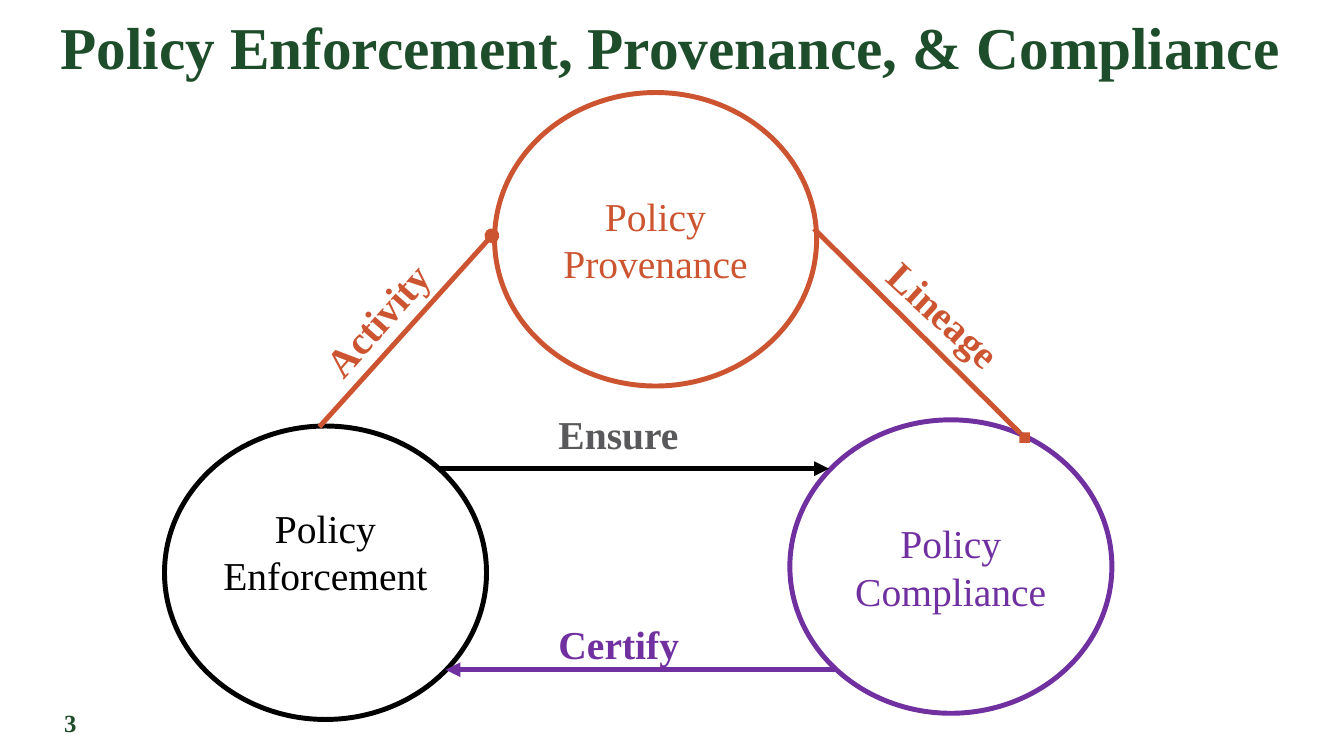
from lxml import etree
from pptx import Presentation
from pptx.dml.color import RGBColor
from pptx.enum.shapes import MSO_CONNECTOR, MSO_SHAPE
from pptx.enum.text import MSO_ANCHOR, MSO_AUTO_SIZE, PP_ALIGN
from pptx.oxml.ns import qn
from pptx.util import Inches, Pt

ELLIPSE = MSO_SHAPE.OVAL
STRAIGHT = MSO_CONNECTOR.STRAIGHT
MIDDLE = MSO_ANCHOR.MIDDLE
NO_FIT = MSO_AUTO_SIZE.NONE
LEFT, CENTER = PP_ALIGN.LEFT, PP_ALIGN.CENTER

BLACK = RGBColor(0x00, 0x00, 0x00)
GRAY = RGBColor(0x59, 0x59, 0x5B)
GREEN = RGBColor(0x1E, 0x4D, 0x2B)
ORANGE = RGBColor(0xCC, 0x54, 0x30)
PURPLE = RGBColor(0x70, 0x30, 0xA0)

FONT = "Times New Roman"
WIDTH, HEIGHT = Inches(15.11), Inches(8.5)
LINE_WIDTH = Pt(4)
TITLE_ONLY = 5

# Sizes in percent of the slide
CIRCLE_W, CIRCLE_H = 23.96, 38.82
LABEL_H = 7.53


def across(percent):
    return round(WIDTH * percent / 100)


def down(percent):
    return round(HEIGHT * percent / 100)


def box(left, top, width, height):
    return across(left), down(top), across(width), down(height)


def write(paragraph, text, color, size=32, bold=False, align=LEFT):
    paragraph.alignment = align
    run = paragraph.add_run()
    run.text = text
    run.font.name = FONT
    run.font.size = Pt(size)
    run.font.bold = bold
    run.font.color.rgb = color


def add_title(slide, text):
    title = slide.shapes.title
    title.left, title.top, title.width, title.height = box(0.26, 0.12, 99.27, 11.76)
    frame = title.text_frame
    frame.vertical_anchor = MIDDLE
    frame.auto_size = NO_FIT
    write(frame.paragraphs[0], text, GREEN, 48, True, CENTER)


def add_policy(slide, left, top, name, color, raise_by=0):
    circle = slide.shapes.add_shape(ELLIPSE, *box(left, top, CIRCLE_W, CIRCLE_H))
    circle.shadow.inherit = False
    circle.fill.background()
    circle.line.color.rgb = color
    circle.line.width = LINE_WIDTH
    frame = circle.text_frame
    frame.vertical_anchor = MIDDLE
    frame.margin_bottom += down(2 * raise_by)
    write(frame.paragraphs[0], "Policy", color, align=CENTER)
    write(frame.add_paragraph(), name, color, align=CENTER)


def add_link(slide, start, end, color, marker):
    link = slide.shapes.add_connector(
        STRAIGHT, across(start[0]), down(start[1]), across(end[0]), down(end[1]))
    link.line.color.rgb = color
    link.line.width = LINE_WIDTH
    etree.SubElement(link.line._get_or_add_ln(), qn("a:tailEnd"), type=marker)
    etree.SubElement(link._element.spPr, qn("a:effectLst"))


def add_label(slide, left, top, width, text, color, angle=0, size=32, align=LEFT):
    label = slide.shapes.add_textbox(*box(left, top, width, LABEL_H))
    label.rotation = angle
    label.text_frame.word_wrap = True
    write(label.text_frame.paragraphs[0], text, color, size, True, align)


def main():
    prs = Presentation()
    prs.slide_width, prs.slide_height = WIDTH, HEIGHT
    slide = prs.slides.add_slide(prs.slide_layouts[TITLE_ONLY])

    add_title(slide, "Policy Enforcement, Provenance, & Compliance")

    # Three policy stages
    add_policy(slide, 12.24, 56.35, "Enforcement", BLACK, raise_by=2.85)
    add_policy(slide, 58.77, 55.53, "Compliance", PURPLE)
    add_policy(slide, 36.8, 12.24, "Provenance", ORANGE)

    # Relations between the stages
    add_link(slide, (32.69, 62), (61.68, 62), BLACK, "triangle")
    add_link(slide, (62.14, 88.59), (33.16, 88.59), PURPLE, "triangle")
    add_link(slide, (23.76, 56.47), (36.6, 31.18), ORANGE, "oval")
    add_link(slide, (60.56, 30.24), (76.24, 57.88), ORANGE, "diamond")

    # Names of the relations
    add_label(slide, 40.9, 53.65, 19.79, "Ensure", GRAY)
    add_label(slide, 40.9, 81.41, 11.05, "Certify", PURPLE)
    add_label(slide, 22.1, 37.41, 12.97, "Activity", ORANGE, angle=311.5)
    add_label(slide, 64.39, 39.06, 13.24, "Lineage", ORANGE, angle=42.6)

    # Slide number
    add_label(slide, 3.18, 93.06, 4.1, "3", GREEN, size=20, align=CENTER)

    prs.save("out.pptx")


if __name__ == "__main__":
    main()
